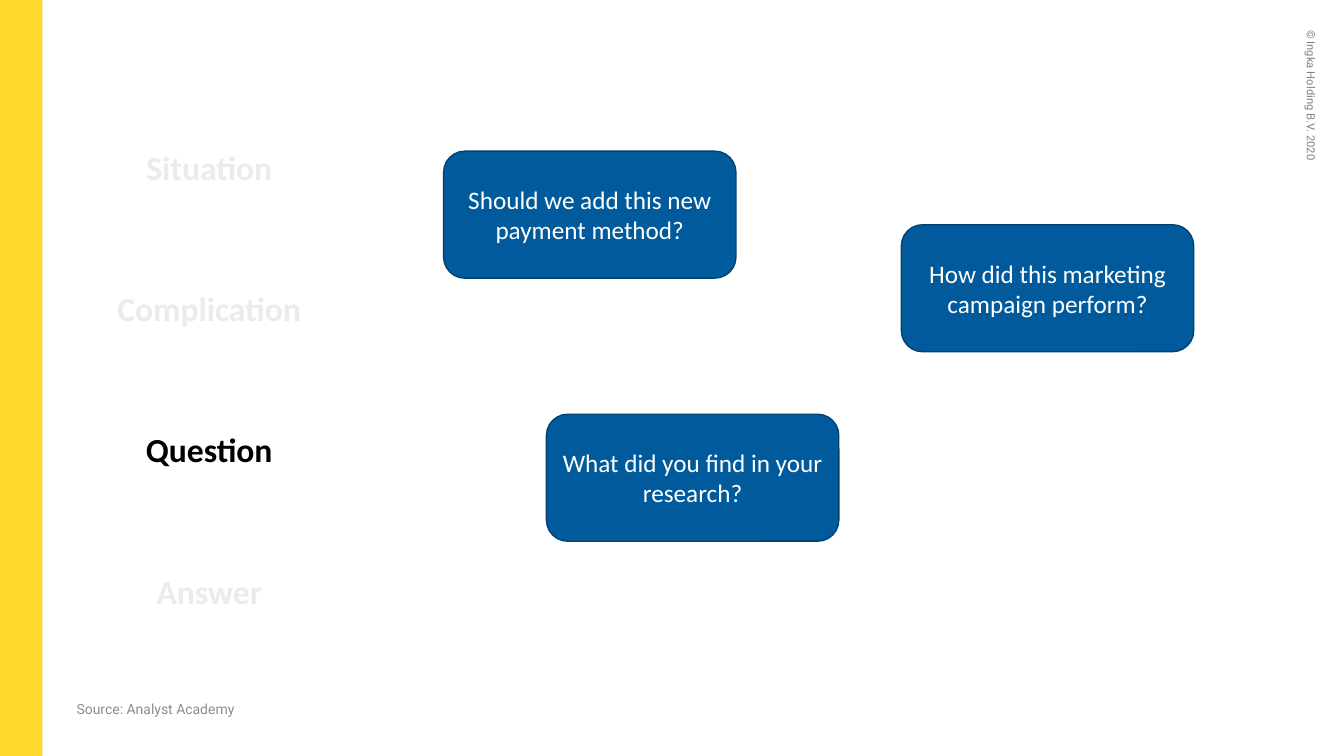
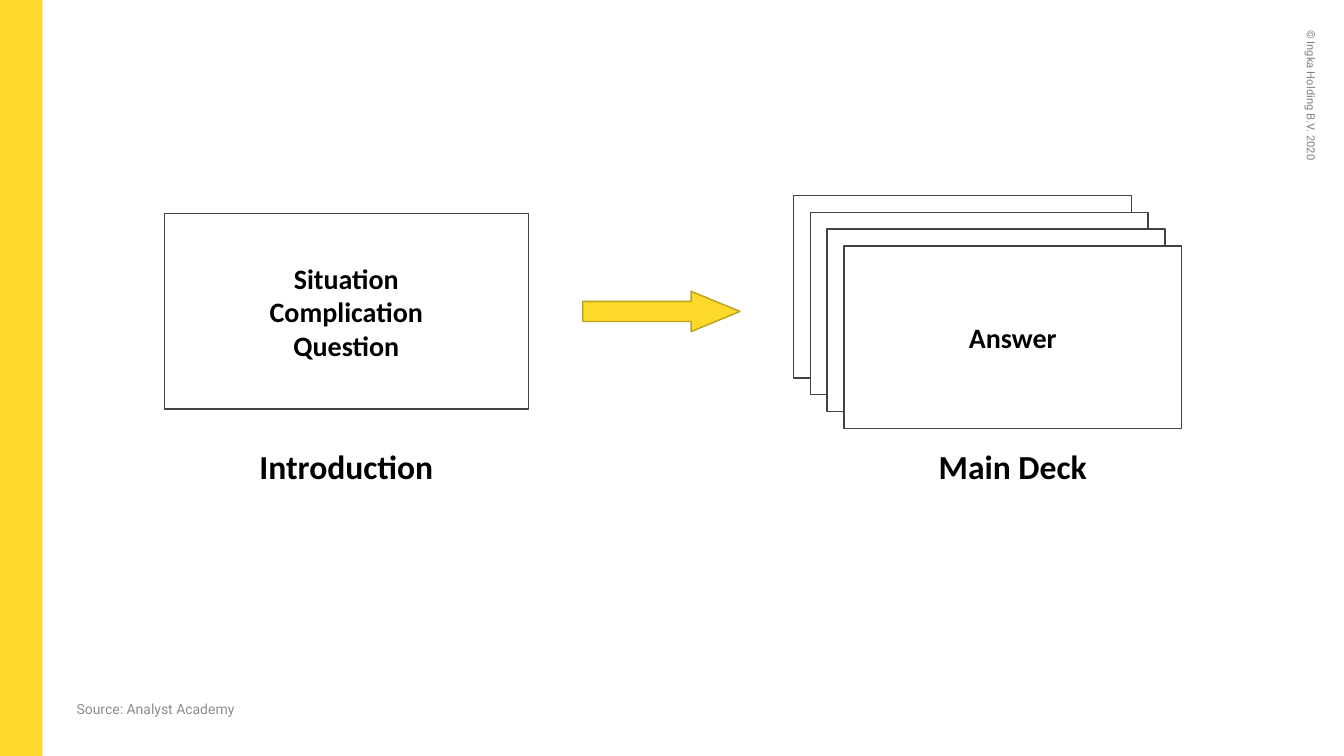
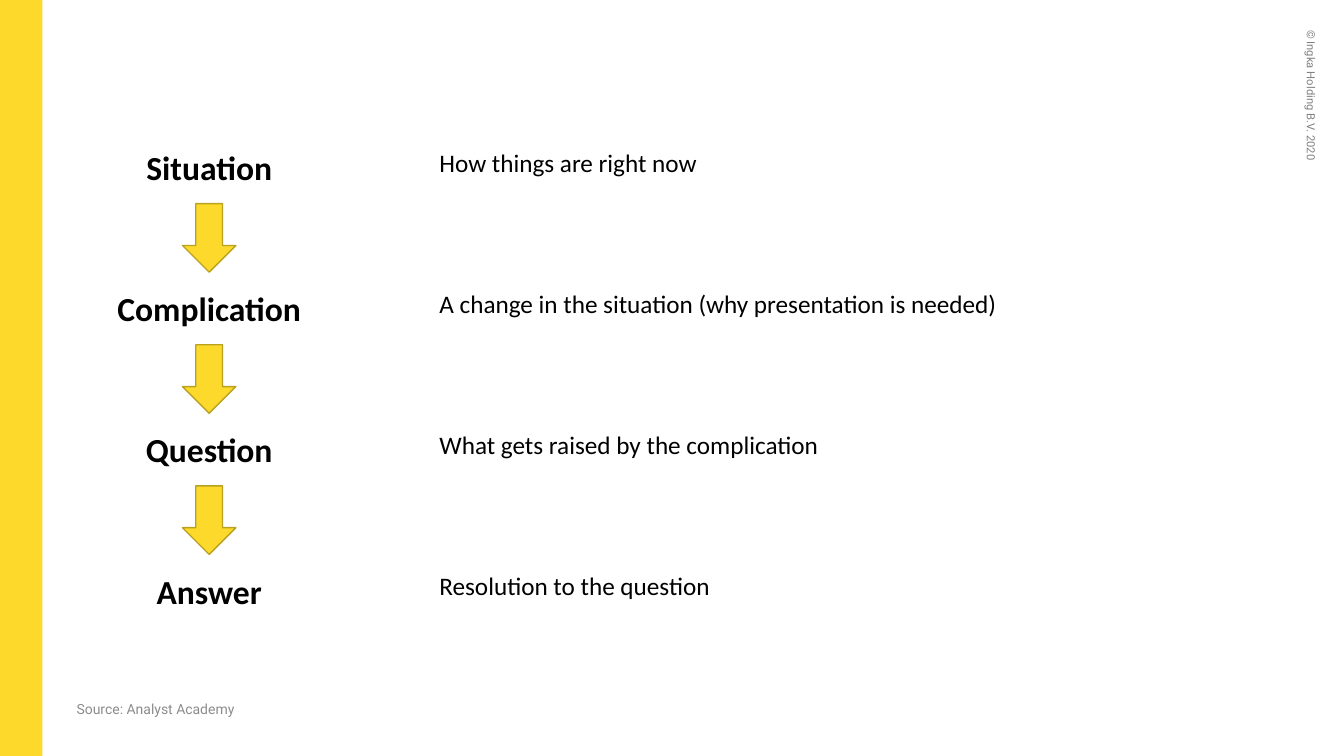
from pptx import Presentation
from pptx.dml.color import RGBColor
from pptx.enum.shapes import MSO_SHAPE as Preset
from pptx.enum.text import MSO_ANCHOR as Anchor, MSO_AUTO_SIZE as AutoSize, PP_ALIGN as Align
from pptx.util import Inches, Pt

COLORS = {
    "yellow": "FCD92A",
    "yellow_line": "BAA11F",
    "blue": "005A9B",
    "blue_line": "004373",
    "white": "FFFFFF",
    "black": "000000",
    "faded": "EBEBEB",
    "frame": "424242",
    "copyright": "808080",
    "source": "8C8C8C",
}
BODY_FONT = "Calibri"
SMALL_FONT = "Roboto"

STEPS = ["Situation", "Complication", "Question", "Answer"]
STEP_TOP, STEP_PITCH = 1.41, 1.4


def color(name):
    return RGBColor.from_string(COLORS[name])


def step_top(index):
    return STEP_TOP + index * STEP_PITCH


class Slides:
    """Holds the deck, its style and the slide being built."""

    def __init__(self):
        self.deck = Presentation()
        self.deck.slide_width = Inches(13.33)
        self.deck.slide_height = Inches(7.5)
        self.page = None

    def new_page(self):
        """Start a slide with the side band, copyright line and source."""
        self.page = self.deck.slides.add_slide(self.deck.slide_layouts[6])
        self.shape(Preset.RECTANGLE, 0, 0, 0.42, 7.5, fill="yellow")
        notice = self.text("© Ingka Holding B.V. 2020", 11.43, 1.58, 3.15, 0.39,
                           size=8, ink="copyright", font=SMALL_FONT)
        notice.rotation = 90
        notice.text_frame.vertical_anchor = Anchor.MIDDLE
        source = self.text("Source: Analyst Academy", 0.76, 6.95, 7.27, 0.4,
                           size=10, ink="source", font=SMALL_FONT)
        frame = source.text_frame
        frame.margin_left = frame.margin_right = 0
        frame.margin_top = frame.margin_bottom = 0

    def add_lines(self, frame, lines, size, ink, bold=False, align=Align.CENTER, font=BODY_FONT):
        """Fill a text frame with one paragraph per line."""
        frame.word_wrap = True
        for index, line in enumerate(lines):
            para = frame.add_paragraph() if index else frame.paragraphs[0]
            para.alignment = align
            span = para.add_run()
            span.text = line
            span.font.name = font
            span.font.size = Pt(size)
            span.font.bold = bold
            span.font.color.rgb = color(ink)

    def shape(self, preset, left, top, width, height, fill=None, line=None):
        shape = self.page.shapes.add_shape(
            preset, Inches(left), Inches(top), Inches(width), Inches(height))
        shape.shadow.inherit = False
        if fill:
            shape.fill.solid()
            shape.fill.fore_color.rgb = color(fill)
        else:
            shape.fill.background()
        if line:
            shape.line.color.rgb = color(line)
            shape.line.width = Pt(1)
        else:
            shape.line.fill.background()
        return shape

    def text(self, words, left, top, width, height, size, ink="black", bold=False,
             align=Align.LEFT, font=BODY_FONT):
        box = self.page.shapes.add_textbox(
            Inches(left), Inches(top), Inches(width), Inches(height))
        self.add_lines(box.text_frame, [words], size, ink, bold, align, font)
        return box

    def heading(self, words, left, top, ink="black"):
        box = self.text(words, left, top, 2.17, 0.5, 24, ink, bold=True, align=Align.CENTER)
        box.text_frame.auto_size = AutoSize.SHAPE_TO_FIT_TEXT

    def description(self, words, top):
        box = self.text(words, 4.26, top, 7.27, 0.4, 18)
        box.text_frame.auto_size = AutoSize.SHAPE_TO_FIT_TEXT

    def question_card(self, words, left, top):
        card = self.shape(Preset.ROUNDED_RECTANGLE, left, top, 2.9, 1.26, "blue", "blue_line")
        self.add_lines(card.text_frame, [words], 18, "white")

    def framed(self, lines, left, top, width, height, fill=None):
        """Draw a thin outlined rectangle, with bold lines of text if any."""
        box = self.shape(Preset.RECTANGLE, left, top, width, height, fill, "frame")
        self.add_lines(box.text_frame, lines, 20, "black", bold=True)

    def arrow(self, preset, left, top, width, height):
        return self.shape(preset, left, top, width, height, "yellow", "yellow_line")


def question_slide(slides):
    slides.new_page()
    for index, step in enumerate(STEPS):
        slides.heading(step, 0.99, step_top(index), "black" if step == "Question" else "faded")
    for words, left, top in [
        ("Should we add this new payment method?", 4.4, 1.5),
        ("How did this marketing campaign perform?", 8.94, 2.23),
        ("What did you find in your research?", 5.42, 4.11),
    ]:
        slides.question_card(words, left, top)


def structure_slide(slides):
    slides.new_page()
    slides.heading("Introduction", 2.35, 4.37)
    slides.heading("Main Deck", 8.96, 4.37)
    slides.framed(STEPS[:3], 1.63, 2.12, 3.61, 1.94)
    sheets, spread = 4, 0.5
    for index in range(sheets):
        shift = spread * index / (sheets - 1)
        lines = STEPS[3:] if index == sheets - 1 else []
        slides.framed(lines, 7.87 + shift, 1.94 + shift, 3.35, 1.81, "white")
    arrow = slides.arrow(Preset.RIGHT_ARROW, 5.78, 2.89, 1.56, 0.4)
    arrow.adjustments[1] = 1.21


def steps_slide(slides):
    slides.new_page()
    descriptions = [
        "How things are right now",
        "A change in the situation (why presentation is needed)",
        "What gets raised by the complication",
        "Resolution to the question",
    ]
    for index, (step, words) in enumerate(zip(STEPS, descriptions)):
        top = step_top(index)
        slides.heading(step, 0.99, top)
        slides.description(words, top)
        if index < len(STEPS) - 1:
            slides.arrow(Preset.DOWN_ARROW, 1.81, top + 0.61, 0.53, 0.68)


def main():
    slides = Slides()
    question_slide(slides)
    structure_slide(slides)
    steps_slide(slides)
    slides.deck.save("out.pptx")


if __name__ == "__main__":
    main()
